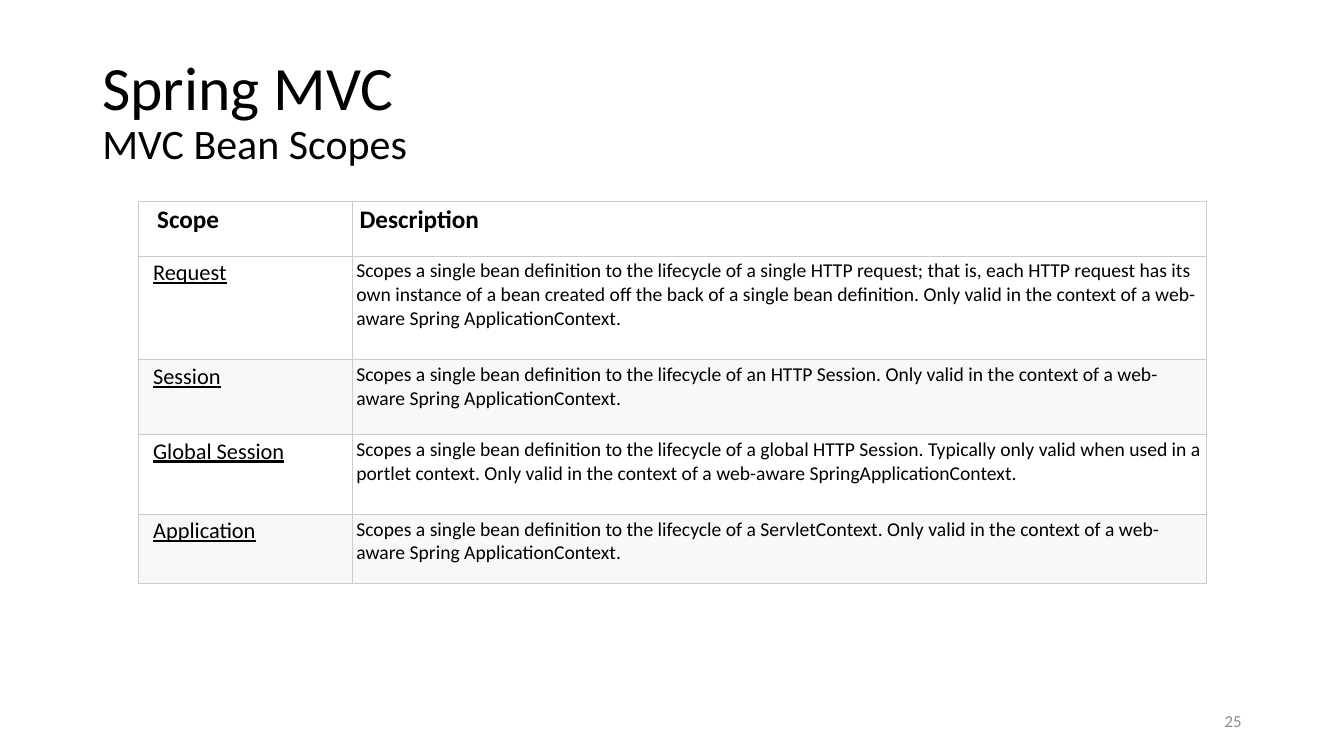
"""Build the Spring MVC bean scopes slide."""
from lxml.etree import SubElement
from pptx import Presentation
from pptx.dml.color import RGBColor
from pptx.enum.text import MSO_ANCHOR, PP_ALIGN
from pptx.oxml.ns import qn
from pptx.util import Cm, Pt

HEADING = [("Spring MVC", 44), ("MVC Bean Scopes", 30)]
PAGE_NUMBER = [("25", 12)]
COLUMNS = ("Scope", "Description")
SCOPES = [
    ("Request", "Scopes a single bean definition to the lifecycle of a single HTTP request; "
     "that is, each HTTP request has its own instance of a bean created off the back of a "
     "single bean definition. Only valid in the context of a web-aware Spring ApplicationContext."),
    ("Session", "Scopes a single bean definition to the lifecycle of an HTTP Session. "
     "Only valid in the context of a web-aware Spring ApplicationContext."),
    ("Global Session", "Scopes a single bean definition to the lifecycle of a global HTTP Session. "
     "Typically only valid when used in a portlet context. "
     "Only valid in the context of a web-aware SpringApplicationContext."),
    ("Application", "Scopes a single bean definition to the lifecycle of a ServletContext. "
     "Only valid in the context of a web-aware Spring ApplicationContext."),
]
COLUMN_WIDTHS = (5.38, 21.52)
ROW_HEIGHTS = (1.37, 2.62, 1.88, 2.01, 1.75)
HEADER_INDENTS, BODY_INDENTS = (0.46, 0.18), (0.36, 0.1)
BODY_SIZES = (16, 14)

FONT = "Calibri"
BLACK = RGBColor(0x00, 0x00, 0x00)
WHITE = RGBColor(0xFF, 0xFF, 0xFF)
BAND = RGBColor(0xF8, 0xF8, 0xF8)
GRAY = RGBColor(0x8C, 0x8C, 0x8C)
BORDER = RGBColor(0xCC, 0xCC, 0xCC)


def style(paragraph, size, color=BLACK, bold=False, underline=False):
    font = paragraph.font
    font.name, font.size, font.bold, font.underline = FONT, Pt(size), bold, underline
    font.color.rgb = color


def add_text(slide, lines, box, color=BLACK, align=PP_ALIGN.LEFT, spacing=1.0):
    frame = slide.shapes.add_textbox(*map(Cm, box)).text_frame
    frame.word_wrap = True
    frame.vertical_anchor = MSO_ANCHOR.MIDDLE
    frame.text = "\n".join(text for text, _ in lines)
    for paragraph, (_, size) in zip(frame.paragraphs, lines):
        paragraph.alignment, paragraph.line_spacing = align, spacing
        style(paragraph, size, color)


def outline(cell):
    properties = cell._tc.get_or_add_tcPr()
    for position, side in enumerate(("a:lnL", "a:lnR", "a:lnT", "a:lnB")):
        line = SubElement(properties, qn(side), w=str(Pt(0.75)))
        properties.insert(position, line)
        SubElement(SubElement(line, qn("a:solidFill")), qn("a:srgbClr"), val=str(BORDER))


def add_scope_table(slide):
    rows = [COLUMNS, *SCOPES]
    table = slide.shapes.add_table(len(rows), len(COLUMNS), Cm(3.5), Cm(5.08),
                                   Cm(sum(COLUMN_WIDTHS)), Cm(sum(ROW_HEIGHTS))).table
    for column, width in zip(table.columns, COLUMN_WIDTHS):
        column.width = Cm(width)
    for r, (texts, height) in enumerate(zip(rows, ROW_HEIGHTS)):
        table.rows[r].height = Cm(height)
        header = r == 0
        indents = HEADER_INDENTS if header else BODY_INDENTS
        for c, text in enumerate(texts):
            cell = table.cell(r, c)
            cell.text = text
            cell.margin_left, cell.margin_right = Cm(indents[c]), Cm(indents[1])
            cell.margin_top = cell.margin_bottom = Cm(0.08)
            cell.fill.solid()
            cell.fill.fore_color.rgb = BAND if r and r % 2 == 0 else WHITE
            style(cell.text_frame.paragraphs[0], 18 if header else BODY_SIZES[c],
                  bold=header, underline=not header and c == 0)
            outline(cell)


def main():
    deck = Presentation()
    deck.slide_width, deck.slide_height = Cm(33.87), Cm(19.05)
    slide = deck.slides.add_slide(deck.slide_layouts[6])
    add_text(slide, HEADING, (2.33, 1.01, 29.21, 3.68), spacing=0.9)
    add_scope_table(slide)
    add_text(slide, PAGE_NUMBER, (23.92, 17.66, 7.62, 1.01), GRAY, PP_ALIGN.RIGHT)
    deck.save("out.pptx")


if __name__ == "__main__":
    main()
